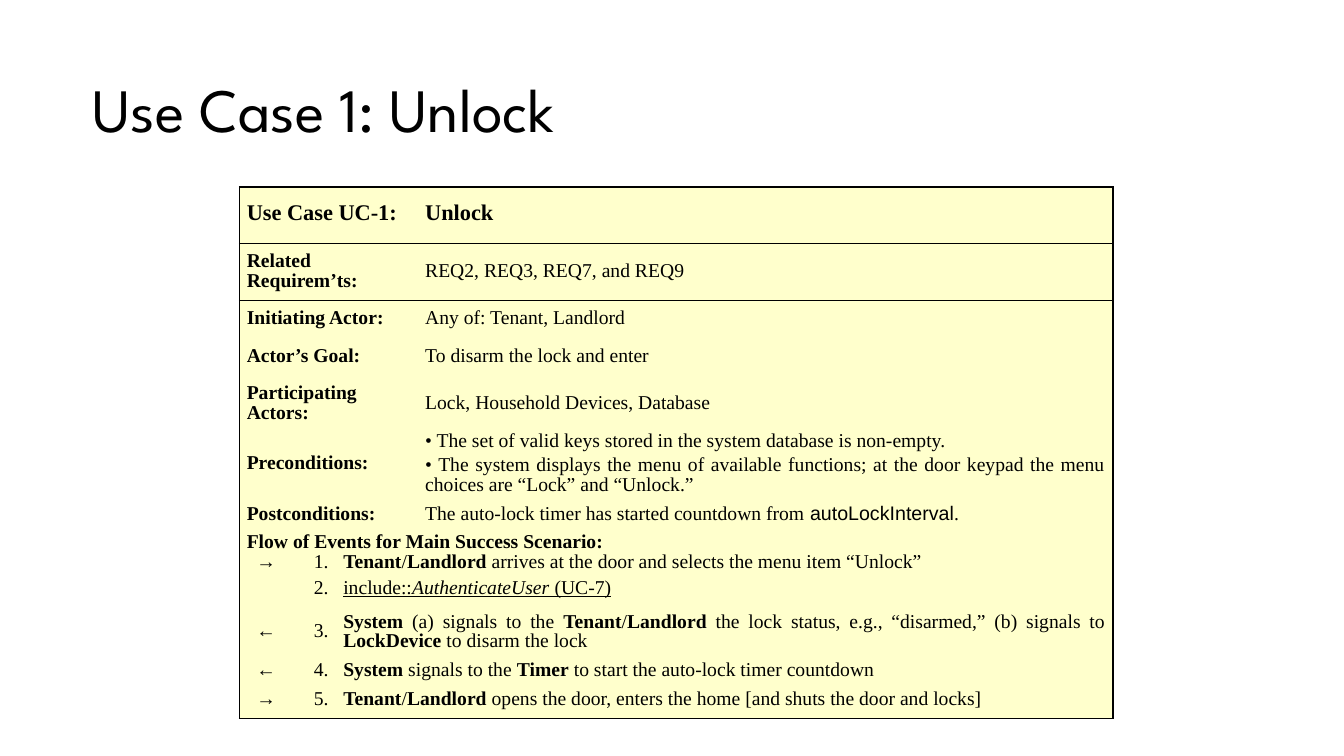
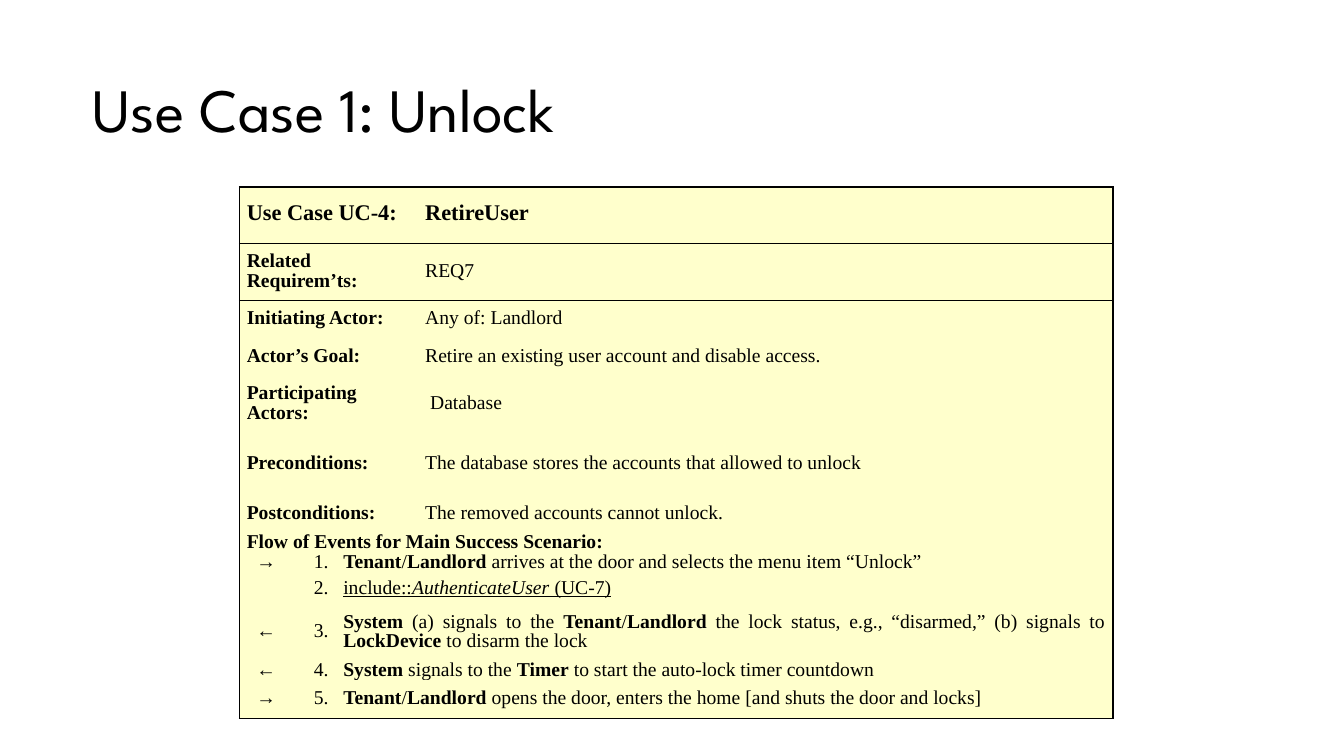
from lxml import etree
from pptx import Presentation
from pptx.dml.color import RGBColor
from pptx.enum.text import MSO_ANCHOR, PP_ALIGN
from pptx.oxml.ns import qn
from pptx.util import Emu, Pt

LEFT, CENTER, RIGHT, JUSTIFY = (
    PP_ALIGN.LEFT, PP_ALIGN.CENTER, PP_ALIGN.RIGHT, PP_ALIGN.JUSTIFY)
MIDDLE = MSO_ANCHOR.MIDDLE

# Shared look
EMU_PER_PX = 9525
BLACK, CARD_YELLOW = "000000", "FFFFCC"
TITLE_FONT, CARD_FONT, CODE_FONT = "League Spartan", "Times New Roman", "Arial"
TITLE_ONLY_LAYOUT = 5
PLAIN_TABLE_STYLE = "{2D5ABB26-0587-4C30-8999-92F81FD0307C}"

# Use case card grid, in px
CARD_LEFT, CARD_TOP = 228, 178
COLUMN_WIDTHS = [51, 41, 78, 662]
ROW_HEIGHTS = [54, 54, 36, 36, 54, 60, 36, 19, 19, 19, 54, 19, 36]
CELL_MARGIN = 7

# Content: a run is (text, style), where style holds b, i, u or c (code font)
TITLE = "Use Case 1: Unlock"
FIELD_LABELS = [
    "Related Requirem’ts:", "Initiating Actor:", "Actor’s Goal:",
    "Participating Actors:", "Preconditions:", "Postconditions:",
]
FLOW_HEADING = "Flow of Events for Main Success Scenario:"
TENANT_OR_LANDLORD = [("Tenant", "b"), ("/", ""), ("Landlord", "b")]
FLOW_STEPS = [
    ("→", TENANT_OR_LANDLORD
     + [(" arrives at the door and selects the menu item “Unlock”", "")]),
    ("", [("include::", "u"), ("AuthenticateUser", "ui"), (" (UC-7)", "u")]),
    ("←", [("System", "b"), (" (a) signals to the ", "")] + TENANT_OR_LANDLORD
     + [(" the lock status, e.g., “disarmed,” (b) signals to ", ""),
        ("LockDevice", "b"), (" to disarm the lock", "")]),
    ("←", [("System", "b"), (" signals to the ", ""), ("Timer", "b"),
           (" to start the auto-lock timer countdown", "")]),
    ("→", TENANT_OR_LANDLORD
     + [(" opens the door, enters the home [and shuts the door and locks]", "")]),
]


def plain(text):
    return [(text, "")]


# Each field value is a list of paragraphs
USE_CASES = [
    ("Use Case UC-1:", "Unlock", [
        [plain("REQ2, REQ3, REQ7, and REQ9")],
        [plain("Any of: Tenant, Landlord")],
        [plain("To disarm the lock and enter")],
        [plain("Lock, Household Devices, Database")],
        [plain("• The set of valid keys stored in the system database is non-empty."),
         plain("• The system displays the menu of available functions; at the door "
               "keypad the menu choices are “Lock” and “Unlock.”")],
        [[("The auto-lock timer has started countdown from ", ""),
          ("autoLockInterval", "c"), (".", "")]],
    ]),
    ("Use Case UC-4:", "RetireUser", [
        [plain("REQ7")],
        [plain("Any of: Landlord")],
        [plain("Retire an existing user account and disable access.")],
        [plain(" Database")],
        [plain("The database stores the accounts that allowed to unlock")],
        [plain("The removed accounts cannot unlock.")],
    ]),
]


def px(length):
    return Emu(length * EMU_PER_PX)


def color(hex_string):
    return RGBColor.from_string(hex_string)


def style_font(font, name, size, hex_string=BLACK):
    font.name = name
    font.size = Pt(size)
    font.color.rgb = color(hex_string)


def add_title(slide, text):
    title = slide.shapes.title
    title.left, title.top, title.width, title.height = map(px, (88, 38, 1104, 139))
    frame = title.text_frame
    frame.text = text
    frame.word_wrap = True
    frame.vertical_anchor = MIDDLE
    frame.margin_left = frame.margin_right = 0
    heading = frame.paragraphs[0]
    heading.alignment = LEFT
    heading.line_spacing = 0.9
    style_font(heading.runs[0].font, TITLE_FONT, 44)


def draw_borders(cell, sides):
    """Draw black 1 pt lines on the given sides, out of L, R, T and B."""
    properties = cell._tc.get_or_add_tcPr()
    for position, side in enumerate(s for s in "LRTB" if s in sides):
        line = etree.Element(qn(f"a:ln{side}"), w=str(Pt(1)))
        fill = etree.SubElement(line, qn("a:solidFill"))
        etree.SubElement(fill, qn("a:srgbClr"), val=BLACK)
        properties.insert(position, line)


def border_sides(row, column):
    last_row, last_column = len(ROW_HEIGHTS) - 1, len(COLUMN_WIDTHS) - 1
    rules = {
        "L": column == 0,
        "R": column == last_column,
        "T": row in (0, 1),
        "B": row in (0, last_row),
    }
    return {side for side, drawn in rules.items() if drawn}


def fill_cell(cell, paragraphs, alignment=JUSTIFY, size=14):
    frame = cell.text_frame
    for index, runs in enumerate(paragraphs):
        paragraph = frame.add_paragraph() if index else frame.paragraphs[0]
        paragraph.alignment = alignment
        paragraph.line_spacing = Pt(14)
        if index:
            paragraph.space_before = Pt(3)
        for text, style in runs:
            run = paragraph.add_run()
            run.text = text
            style_font(run.font, CODE_FONT if "c" in style else CARD_FONT, size)
            run.font.bold = "b" in style
            run.font.italic = "i" in style
            run.font.underline = "u" in style


def add_card_grid(slide):
    table = slide.shapes.add_table(
        len(ROW_HEIGHTS), len(COLUMN_WIDTHS), px(CARD_LEFT), px(CARD_TOP),
        px(sum(COLUMN_WIDTHS)), px(sum(ROW_HEIGHTS))).table
    table.first_row = table.horz_banding = False
    table._tbl.tblPr.find(qn("a:tableStyleId")).text = PLAIN_TABLE_STYLE
    for column, width in zip(table.columns, COLUMN_WIDTHS):
        column.width = px(width)
    for row_index, height in enumerate(ROW_HEIGHTS):
        table.rows[row_index].height = px(height)
        for column_index in range(len(COLUMN_WIDTHS)):
            cell = table.cell(row_index, column_index)
            cell.margin_left = cell.margin_right = px(CELL_MARGIN)
            cell.margin_top = cell.margin_bottom = 0
            cell.vertical_anchor = MIDDLE
            cell.text_frame.paragraphs[0].line_spacing = Pt(14)
            cell.fill.solid()
            cell.fill.fore_color.rgb = color(CARD_YELLOW)
            draw_borders(cell, border_sides(row_index, column_index))
    return table


def merge_across(table, row, first, last):
    """Merge cells of a row, keeping the right edge of the last one."""
    merged = table.cell(row, first)
    merged.merge(table.cell(row, last))
    if last == len(COLUMN_WIDTHS) - 1:
        draw_borders_again = border_sides(row, first) | {"R"}
        properties = merged._tc.get_or_add_tcPr()
        for side in border_sides(row, first):
            properties.remove(properties.find(qn(f"a:ln{side}")))
        draw_borders(merged, draw_borders_again)
    return merged


def add_use_case_card(slide, case_label, case_name, field_values):
    table = add_card_grid(slide)

    # Heading and fields
    fill_cell(merge_across(table, 0, 0, 2), [[(case_label, "b")]], LEFT, 16)
    fill_cell(table.cell(0, 3), [[(case_name, "b")]], LEFT, 16)
    for row, (label, value) in enumerate(zip(FIELD_LABELS, field_values), 1):
        fill_cell(merge_across(table, row, 0, 2), [[(label, "b")]])
        fill_cell(table.cell(row, 3), value)

    # Flow of events
    flow_row = len(FIELD_LABELS) + 1
    fill_cell(merge_across(table, flow_row, 0, 3), [[(FLOW_HEADING, "b")]])
    for number, (arrow, step) in enumerate(FLOW_STEPS, 1):
        row = flow_row + number
        if arrow:
            fill_cell(table.cell(row, 0), [plain(arrow)], CENTER)
        fill_cell(table.cell(row, 1), [plain(f"{number}.")], RIGHT)
        fill_cell(merge_across(table, row, 2, 3), [step])


def main():
    presentation = Presentation()
    presentation.slide_width, presentation.slide_height = px(1280), px(720)
    layout = presentation.slide_layouts[TITLE_ONLY_LAYOUT]
    for use_case in USE_CASES:
        slide = presentation.slides.add_slide(layout)
        add_title(slide, TITLE)
        add_use_case_card(slide, *use_case)
    presentation.save("out.pptx")


if __name__ == "__main__":
    main()
